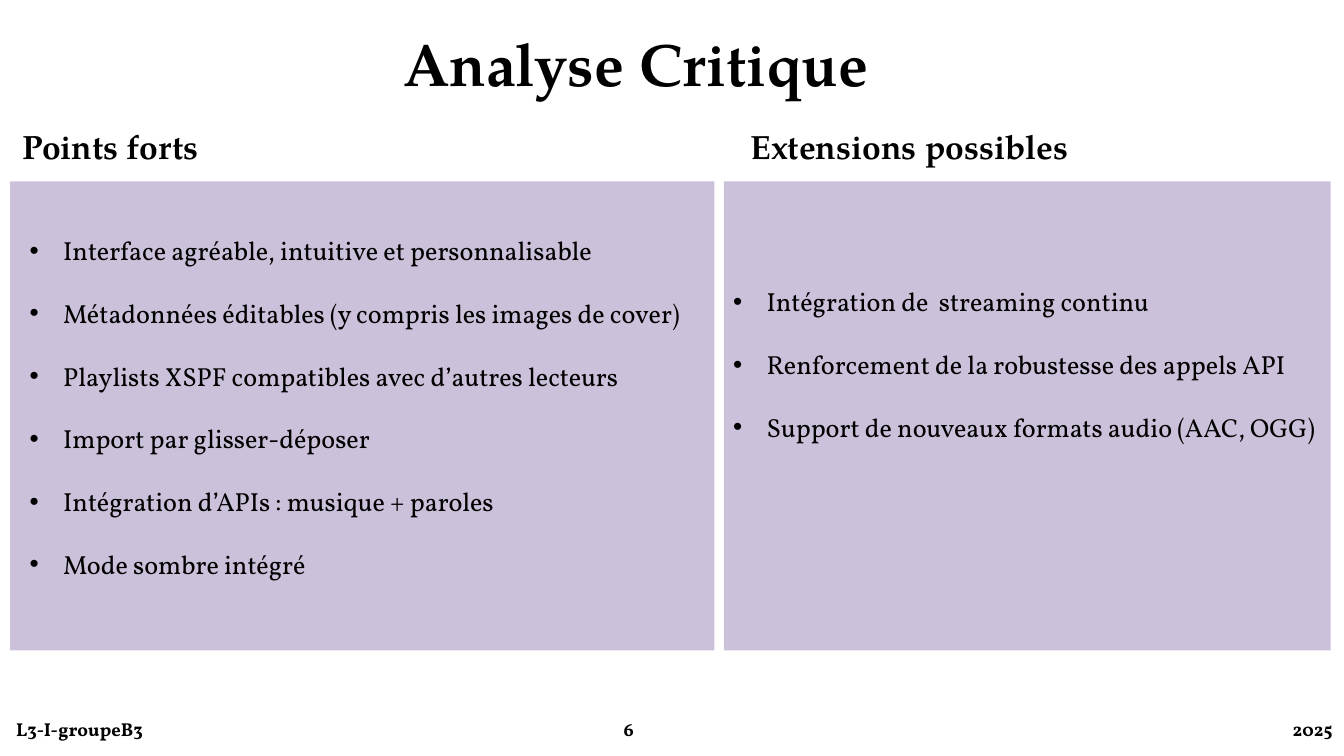
from dataclasses import dataclass

from lxml import etree
from pptx import Presentation
from pptx import util as u
from pptx.dml.color import RGBColor
from pptx.enum import shapes, text
from pptx.oxml import ns


@dataclass(frozen=True)
class Theme:
    """Colours, fonts and type sizes of the deck."""
    ink: RGBColor = RGBColor(0x00, 0x00, 0x00)
    lilac: RGBColor = RGBColor(0xCC, 0xC1, 0xDA)
    head: str = "TeX Gyre Pagella"
    body: str = "Vollkorn"
    title: int = 64
    sub: int = 36
    item: int = 28
    foot: int = 20


THEME = Theme()


@dataclass(frozen=True)
class Box:
    """A region of the slide in centimetres."""
    x: float
    y: float
    w: float
    h: float

    def cm(self):
        """Return left, top, width and height as lengths."""
        return [u.Cm(v) for v in (self.x, self.y, self.w, self.h)]


def add_text(slide, box, lines, face, size, bold=False, lead=None):
    """Add a text box without margins and return its paragraphs."""
    frame = slide.shapes.add_textbox(*box.cm()).text_frame
    frame.word_wrap = True
    frame.vertical_anchor = text.MSO_ANCHOR.TOP
    frame.margin_left = frame.margin_right = 0
    frame.margin_top = frame.margin_bottom = 0
    frame.text = "\n".join(lines)
    for para in frame.paragraphs:
        if lead:
            para.line_spacing = u.Pt(lead)
        for run in para.runs:
            font = run.font
            font.name, font.size, font.bold = face, u.Pt(size), bold
            font.color.rgb = THEME.ink
    return frame.paragraphs


def add_mark(para, hang):
    """Give a paragraph a round bullet with a hanging indent."""
    props = para._p.get_or_add_pPr()
    props.set("marL", str(u.Cm(hang)))
    props.set("indent", str(-u.Cm(hang)))
    etree.SubElement(props, ns.qn("a:buFont"), typeface="Arial")
    etree.SubElement(props, ns.qn("a:buChar"), char="•")


def add_title(slide, box, label):
    """Place the slide title."""
    add_text(slide, box, [label], THEME.head, THEME.title, True, 89.6)


def add_panel(slide, box, label, items, shift, inset, drop):
    """Place a filled panel with its heading above and its list inside."""
    panel = slide.shapes.add_shape(shapes.MSO_SHAPE.RECTANGLE, *box.cm())
    panel.shadow.inherit = False
    panel.fill.solid()
    panel.fill.fore_color.rgb = THEME.lilac
    panel.line.fill.background()

    head = Box(box.x + shift, box.y - 2.06, box.w - shift, 1.5)
    add_text(slide, head, [label], THEME.head, THEME.sub, True, 42)

    area = Box(box.x + inset, box.y + drop, box.w - inset, box.h - drop)
    paras = add_text(slide, area, items, THEME.body, THEME.item, lead=33)
    for rank, para in enumerate(paras):
        add_mark(para, 1.27)
        if rank:
            para.space_before = u.Pt(34.2)


def add_footer(slide, box, parts):
    """Place the footer with a centred and a right-aligned tab stop."""
    para = add_text(slide, box, ["\t".join(parts)], THEME.body, THEME.foot, True)[0]
    tabs = etree.SubElement(para._p.get_or_add_pPr(), ns.qn("a:tabLst"))
    for pos, side in ((23.16, "ctr"), (box.w - 0.1, "r")):
        etree.SubElement(tabs, ns.qn("a:tab"), pos=str(u.Cm(pos)), algn=side)


def main():
    """Build the slide and save it."""
    deck = Presentation()
    deck.slide_width, deck.slide_height = u.Cm(50.8), u.Cm(28.58)
    slide = deck.slides.add_slide(deck.slide_layouts[6])

    add_title(slide, Box(15.24, 0.56, 20.6, 3.02), "Analyse Critique")
    add_panel(slide, Box(0.38, 6.86, 26.62, 17.73), "Points forts", [
        "Interface agréable, intuitive et personnalisable",
        "Métadonnées éditables (y compris les images de cover)",
        "Playlists XSPF compatibles avec d’autres lecteurs",
        "Import par glisser-déposer",
        "Intégration d’APIs : musique + paroles",
        "Mode sombre intégré",
    ], shift=0.48, inset=0.74, drop=2.03)
    add_panel(slide, Box(27.36, 6.86, 22.94, 17.73), "Extensions possibles", [
        "Intégration de  streaming continu",
        "Renforcement de la robustesse des appels API",
        "Support de nouveaux formats audio (AAC, OGG)",
    ], shift=1.01, inset=0.35, drop=3.96)
    add_footer(slide, Box(0.61, 27.15, 49.86, 0.9), ["L3-I-groupeB3", "6", "2025"])

    deck.save("out.pptx")


if __name__ == "__main__":
    main()
